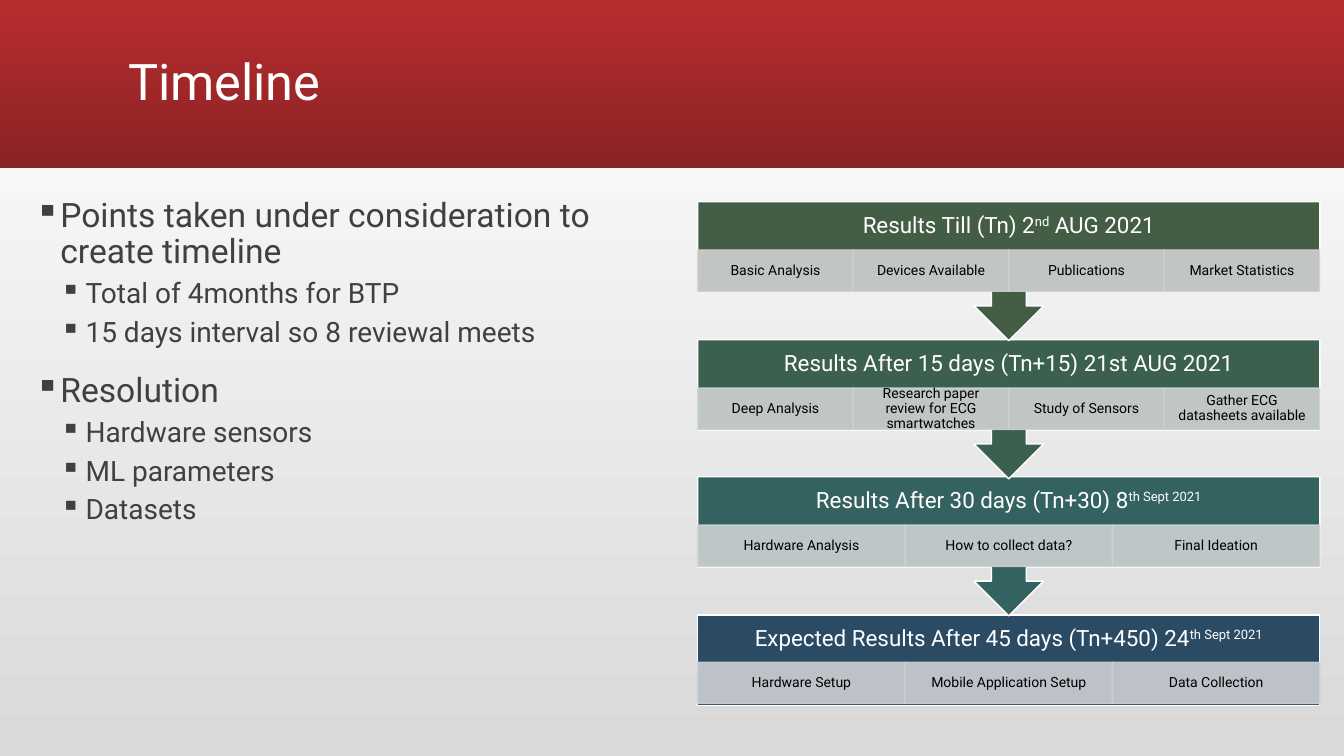
from lxml.etree import SubElement as Sub
from pptx import Presentation
from pptx.dml.color import RGBColor as RGB
from pptx.enum.shapes import MSO_SHAPE as SHAPE
from pptx.enum.text import MSO_ANCHOR as ANCHOR, PP_ALIGN as ALIGN
from pptx.oxml.ns import qn
from pptx.util import Pt

PX = 9144
FONT = "Roboto"
HUES = {
    "white": "FFFFFF", "black": "000000", "text": "404040",
    "top": "B82D2F", "base": "8A2223", "fog": "D9D9D9",
}
LEFT, TOP, WIDTH, STEP = 692, 200, 617, 410 / 3
POINTS = [
    (0, "Points taken under consideration to create timeline"),
    (1, "Total of 4months for BTP"),
    (1, "15 days interval so 8 reviewal meets"),
    (0, "Resolution"),
    (1, "Hardware sensors"),
    (1, "ML parameters"),
    (1, "Datasets"),
]
STAGES = [
    ("445E45", "CFD2D0", ["Results Till (Tn) 2", "nd", " AUG 2021"],
     ["Basic Analysis", "Devices Available", "Publications", "Market Statistics"]),
    ("3B604E", "CED2D1", ["Results After 15 days (Tn+15) 21st AUG 2021"],
     ["Deep Analysis", "Research paper review for ECG smartwatches",
      "Study of Sensors", "Gather ECG datasheets available"]),
    ("336261", "CED2D3", ["Results After 30 days (Tn+30) 8", "th Sept 2021"],
     ["Hardware Analysis", "How to collect data?", "Final Ideation"]),
    ("2B4A63", "CDD0D3", ["Expected Results After 45 days (Tn+450) 24", "th Sept 2021"],
     ["Hardware Setup", "Mobile Application Setup", "Data Collection"]),
]


def emu(*sizes):
    """Turn px lengths into EMU."""
    return [round(size * PX) for size in sizes]


def put(item, **values):
    """Set each attribute of an item."""
    for name, value in values.items():
        setattr(item, name, value)


def blend(fill, first, last):
    """Fill with a gradient from top to bottom."""
    fill.gradient()
    fill.gradient_angle = 270
    for stop, hue in zip(fill.gradient_stops, (first, last)):
        stop.color.rgb = RGB.from_string(HUES[hue])


def write(para, parts, size, hue):
    """Write runs into a paragraph, every second one raised."""
    para.line_spacing = 0.9
    for at, part in enumerate(parts):
        run = para.add_run()
        run.text = part
        put(run.font, name=FONT, size=Pt(size))
        run.font.color.rgb = RGB.from_string(HUES[hue])
        if at % 2:
            run.font._element.set("baseline", "30000")


def label(shape, parts, size, hue, pad):
    """Centre one line of text in a shape with the given insets."""
    frame = shape.text_frame
    side, edge = emu(*pad)
    put(frame, word_wrap=True, vertical_anchor=ANCHOR.MIDDLE,
        margin_left=side, margin_right=side, margin_top=edge, margin_bottom=edge)
    frame.paragraphs[0].alignment = ALIGN.CENTER
    write(frame.paragraphs[0], parts, size, hue)


def block(slide, kind, box, fill, line, alpha=100):
    """Add a filled and outlined shape."""
    shape = slide.shapes.add_shape(kind, *emu(*box))
    shape.shadow.inherit = False
    shape.fill.solid()
    shape.fill.fore_color.rgb = RGB.from_string(fill)
    shape.line.color.rgb = RGB.from_string(line)
    shape.line.width = Pt(1)
    if alpha < 100:
        for color in shape._element.spPr.iter(qn("a:srgbClr")):
            Sub(color, qn("a:alpha"), val=str(alpha * 1000))
    return shape


def header(slide):
    """Add the red band and place the title on it."""
    band = slide.shapes.add_shape(SHAPE.RECTANGLE, *emu(0, 0, 1333, 167))
    band.shadow.inherit = False
    band.line.fill.background()
    blend(band.fill, "top", "base")
    title = slide.shapes.title
    left, top, width, height = emu(117, 11, 1100, 145)
    put(title, left=left, top=top, width=width, height=height)
    put(title.text_frame, vertical_anchor=ANCHOR.MIDDLE, word_wrap=True)
    para = title.text_frame.paragraphs[0]
    para.alignment = ALIGN.LEFT
    write(para, ["Timeline"], 36, "white")
    band._element.addnext(title._element)


def bullets(slide):
    """Add the two-level list."""
    frame = slide.shapes.add_textbox(*emu(25, 192, 625, 508)).text_frame
    frame.word_wrap = True
    for at, (level, text) in enumerate(POINTS):
        para = frame.add_paragraph() if at else frame.paragraphs[0]
        props = para._p.get_or_add_pPr()
        indent, = emu(25)
        props.set("marL", str(indent * (level + 1)))
        props.set("indent", str(-indent))
        Sub(props, qn("a:buChar"), char="▪")
        para.level = level
        if at:
            para.space_before = Pt(6 if level else 18)
        write(para, [text], 20 if level else 24, "text")


def stage(slide, top, data, last):
    """Add one step of the timeline with its row of cells."""
    dark, pale, head, cells = data
    kind = SHAPE.RECTANGLE if last else SHAPE.UP_ARROW_CALLOUT
    body = block(slide, kind, (LEFT, top, WIDTH, 90 if last else 138), dark, HUES["white"])
    body.rotation = 0 if last else 180
    name = slide.shapes.add_textbox(*emu(LEFT, top, WIDTH, 48))
    label(name, head, 16, "white", (12, 12))
    wide = WIDTH / len(cells)
    for at, text in enumerate(cells):
        box = (LEFT + at * wide, top + (47 if last else 48), wide, 41)
        cell = block(slide, SHAPE.RECTANGLE, box, pale, pale, 90)
        label(cell, [text], 10, "black", (8, 1))


def main():
    """Build the timeline slide."""
    deck = Presentation()
    deck.slide_width, deck.slide_height = emu(1333, 750)
    slide = deck.slides.add_slide(deck.slide_layouts[5])
    blend(slide.background.fill, "white", "fog")
    header(slide)
    bullets(slide)
    final = len(STAGES) - 1
    for at in range(final, -1, -1):
        stage(slide, round(TOP + at * STEP), STAGES[at], at == final)
    deck.save("out.pptx")


if __name__ == "__main__":
    main()
